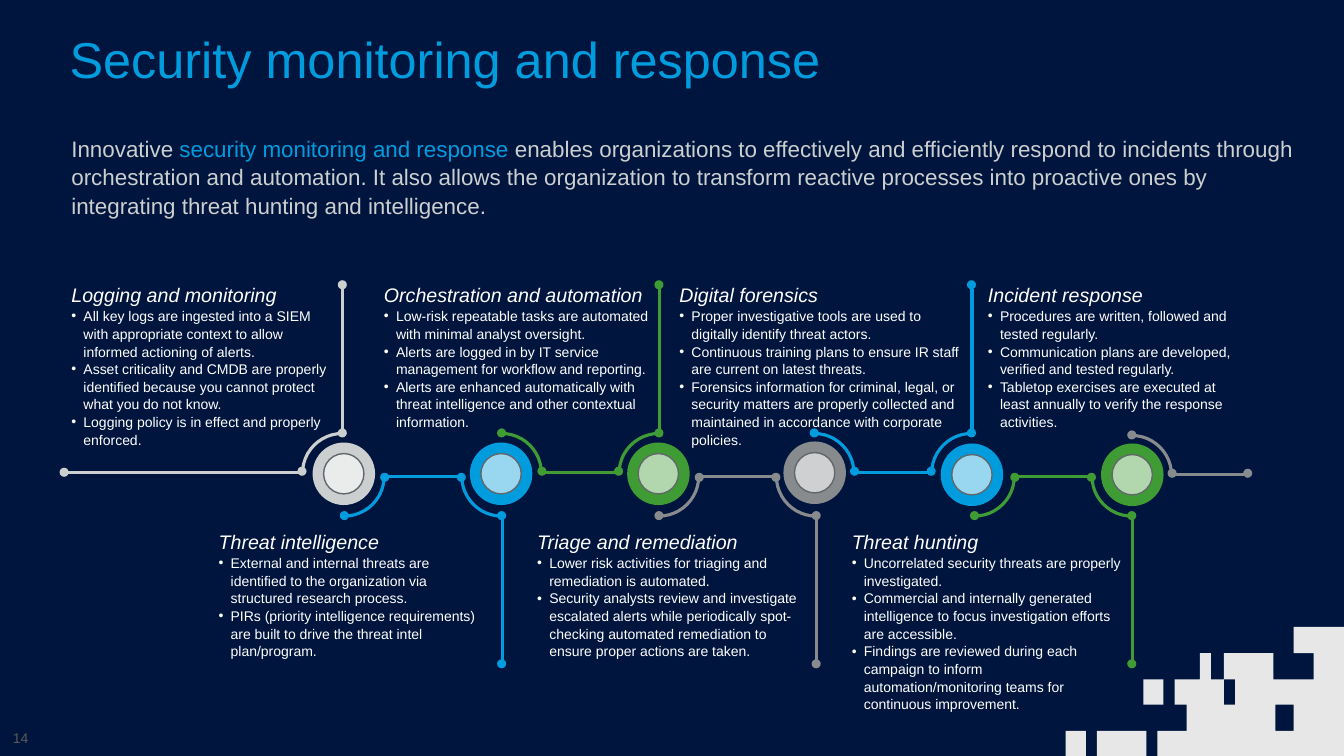
from lxml.etree import SubElement
from pptx import Presentation
from pptx.dml.color import RGBColor
from pptx.enum.shapes import MSO_CONNECTOR, MSO_SHAPE
from pptx.enum.text import MSO_ANCHOR
from pptx.oxml.ns import qn
from pptx.util import Pt

PX = 9144
NAVY = RGBColor(0x00, 0x15, 0x3D)
BLUE = RGBColor(0x00, 0x9C, 0xDE)
GREEN = RGBColor(0x3F, 0x9C, 0x35)
GREY = RGBColor(0x88, 0x8B, 0x8D)
SILVER = RGBColor(0xCC, 0xCF, 0xCF)
RIM = RGBColor(0x63, 0x66, 0x6A)
DIM = RGBColor(0x59, 0x59, 0x59)
PALE = RGBColor(0xE7, 0xE7, 0xE8)
WHITE = RGBColor(0xFF, 0xFF, 0xFF)

ARC = 79
ARC_MIDDLE = 40
LINK_STEP = 156
HUB = 62
CORE = 40

MOSAIC = [
    [(31, 103), (80, 103), (80, 128), (31, 128)],
    [(0, 103), (20, 103), (20, 128), (0, 128)],
    [(208, 77), (208, 103), (226, 103), (226, 77)],
    [(77, 52), (97, 52), (97, 77), (77, 77)],
    [(157, 52), (157, 77), (168, 77), (168, 52)],
    [(226, 0), (276, 0), (276, 128), (91, 128), (91, 103), (120, 103),
     (120, 77), (108, 77), (108, 52), (133, 52), (133, 26), (144, 26),
     (144, 52), (157, 52), (157, 26), (206, 26), (206, 52), (246, 52),
     (246, 26), (226, 26)],
]

LINKS = [(302, 433, False, BLUE), (458, 430, True, GREEN),
         (614, 433, False, GREY), (768, 430, True, BLUE),
         (927, 433, False, GREEN)]

HUBS = [(310, 439, SILVER), (466, 439, BLUE), (622, 439, GREEN),
        (777, 438, GREY), (933, 440, BLUE), (1092, 440, GREEN)]

CAPABILITIES = [
    ((61, 275, 284, 168), "Logging and monitoring", [
        "All key logs are ingested into a SIEM with appropriate context to allow informed actioning of alerts.",
        "Asset criticality and CMDB are properly identified because you cannot protect what you do not know.",
        "Logging policy is in effect and properly enforced."]),
    ((207, 520, 284, 135), "Threat intelligence", [
        "External and internal threats are identified to the organization via structured research process.",
        "PIRs (priority intelligence requirements) are built to drive the threat intel plan/program."]),
    ((371, 275, 284, 151), "Orchestration and automation", [
        "Low-risk repeatable tasks are automated with minimal analyst oversight.",
        "Alerts are logged in by IT service management for workflow and reporting.",
        "Alerts are enhanced automatically with threat intelligence and other contextual information."]),
    ((523, 520, 284, 135), "Triage and remediation", [
        "Lower risk activities for triaging and remediation is automated.",
        "Security analysts review and investigate escalated alerts while periodically spot-checking "
        "automated remediation to ensure proper actions are taken."]),
    ((664, 275, 303, 168), "Digital forensics", [
        "Proper investigative tools are used to digitally identify threat actors.",
        "Continuous training plans to ensure IR staff are current on latest threats.",
        "Forensics information for criminal, legal, or security matters are properly collected and "
        "maintained in accordance with corporate policies."]),
    ((835, 520, 287, 185), "Threat hunting", [
        "Uncorrelated security threats are properly investigated.",
        "Commercial and internally generated intelligence to focus investigation efforts are accessible.",
        "Findings are reviewed during each campaign to inform automation/monitoring teams for "
        "continuous improvement."]),
    ((970, 275, 275, 151), "Incident response", [
        "Procedures are written, followed and tested regularly.",
        "Communication plans are developed, verified and tested regularly.",
        "Tabletop exercises are executed at least annually to verify the response activities."]),
]


def add_text_frame(slide, box, anchor=MSO_ANCHOR.TOP):
    frame = slide.shapes.add_textbox(*(n * PX for n in box)).text_frame
    frame.word_wrap = True
    frame.vertical_anchor = anchor
    return frame


def add_run(paragraph, words, size, color, italic=False):
    run = paragraph.add_run()
    run.text = words
    font = run.font
    font.name, font.size, font.italic = "Arial", Pt(size), italic
    font.color.rgb = color


def add_preset(slide, kind, left, top, size):
    shape = slide.shapes.add_shape(kind, left * PX, top * PX, size * PX, size * PX)
    shape.shadow.inherit = False
    return shape


def add_disc(slide, left, top, size, color):
    disc = add_preset(slide, MSO_SHAPE.OVAL, left, top, size)
    disc.fill.solid()
    disc.fill.fore_color.rgb = color
    disc.line.fill.background()
    return disc


def add_dot(slide, x, y, color):
    add_disc(slide, x - 5, y - 5, 9, color)


def add_arc(slide, left, top, rotation, color):
    arc = add_preset(slide, MSO_SHAPE.ARC, left, top, ARC)
    arc.rotation = rotation
    arc.fill.background()
    arc.line.color.rgb = color
    arc.line.width = Pt(2.25)


def add_track(slide, x1, y1, x2, y2, color):
    track = slide.shapes.add_connector(
        MSO_CONNECTOR.STRAIGHT, x1 * PX, y1 * PX, x2 * PX, y2 * PX)
    track.line.color.rgb = color
    track.line.width = Pt(2.25)
    SubElement(track._element.spPr, qn("a:effectLst"))


def level(top, offset, up):
    return top + (offset if up else ARC - offset)


def add_link_start(slide, left, top, up, color):
    add_arc(slide, left, top, 0 if up else 90, color)
    add_dot(slide, left + ARC_MIDDLE, level(top, 0, up), color)
    add_dot(slide, left + 80, level(top, 38, up), color)


def add_link_end(slide, left, top, up, color):
    add_arc(slide, left, top, 270 if up else 180, color)
    add_dot(slide, left, level(top, 38, up), color)
    middle = left + ARC_MIDDLE
    add_dot(slide, middle, level(top, 0, up), color)
    add_track(slide, middle, level(top, -143, up), middle, level(top, 0, up), color)
    add_dot(slide, middle, level(top, -147, up), color)


def add_link(slide, left, top, up, color):
    add_link_start(slide, left, top, up, color)
    y = level(top, 39, up)
    add_track(slide, left + ARC, y, left + LINK_STEP, y, color)
    add_link_end(slide, left + LINK_STEP, top, up, color)


def add_entry(slide, left, top, length):
    add_track(slide, left, top + 39, left + length, top + 39, SILVER)
    add_dot(slide, left + 1, top + 39, SILVER)
    add_link_end(slide, left + length, top, True, SILVER)


def add_exit(slide, left, top):
    add_link_start(slide, left, top, True, GREY)
    add_track(slide, left + ARC, top + 39, left + LINK_STEP, top + 39, GREY)
    add_dot(slide, left + LINK_STEP - 1, top + 38, GREY)


def add_hub(slide, left, top, color):
    add_disc(slide, left, top, HUB, color)
    inset = (HUB - CORE) // 2
    core = add_disc(slide, left + inset, top + inset, CORE, WHITE)
    white = core._element.spPr.find(qn("a:solidFill")).find(qn("a:srgbClr"))
    SubElement(white, qn("a:alpha"), val="60000")
    core.line.color.rgb = RIM
    core.line.width = Pt(1)


def add_capability(slide, box, heading, points):
    frame = add_text_frame(slide, box)
    frame.paragraphs[0].line_spacing = 1.05
    add_run(frame.paragraphs[0], heading, 14, WHITE, italic=True)
    for point in points:
        paragraph = frame.add_paragraph()
        properties = paragraph._p.get_or_add_pPr()
        properties.set("marL", str(12 * PX))
        properties.set("indent", str(-12 * PX))
        SubElement(properties, qn("a:buFont"), typeface="Arial")
        SubElement(properties, qn("a:buChar"), char="•")
        paragraph.line_spacing = 1.05
        add_run(paragraph, point, 10, WHITE)


def add_mosaic(slide, left, top):
    outline = slide.shapes.build_freeform(*MOSAIC[0][0], scale=PX)
    for index, (corner, *others) in enumerate(MOSAIC):
        if index:
            outline.move_to(*corner)
        outline.add_line_segments(others, close=True)
    mosaic = outline.convert_to_shape(left * PX, top * PX)
    mosaic.shadow.inherit = False
    mosaic.fill.solid()
    mosaic.fill.fore_color.rgb = PALE
    mosaic.line.fill.background()


def add_title(slide, box):
    frame = add_text_frame(slide, box, MSO_ANCHOR.MIDDLE)
    frame.margin_left = frame.margin_right = frame.margin_top = frame.margin_bottom = 0
    frame.paragraphs[0].line_spacing = 1.05
    add_run(frame.paragraphs[0], "Security monitoring and response", 36, BLUE)


def add_intro(slide, box):
    paragraph = add_text_frame(slide, box).paragraphs[0]
    paragraph.line_spacing = 1.05
    add_run(paragraph, "Innovative ", 16, SILVER)
    add_run(paragraph, "security monitoring and response ", 16, BLUE)
    add_run(paragraph, "enables organizations to effectively and efficiently respond to incidents "
            "through orchestration and automation. It also allows the organization to transform "
            "reactive processes into proactive ones by integrating threat hunting and intelligence.",
            16, SILVER)


def add_page_number(slide, box):
    frame = add_text_frame(slide, box, MSO_ANCHOR.MIDDLE)
    add_run(frame.paragraphs[0], "14", 10, DIM)


def main():
    deck = Presentation()
    deck.slide_width, deck.slide_height = 1333 * PX, 750 * PX
    slide = deck.slides.add_slide(deck.slide_layouts[6])
    slide.background.fill.solid()
    slide.background.fill.fore_color.rgb = NAVY
    add_mosaic(slide, 1057, 622)
    add_intro(slide, (61, 128, 1253, 91))
    add_title(slide, (69, 26, 1264, 61))
    add_page_number(slide, (3, 717, 225, 31))
    add_entry(slide, 63, 430, 237)
    for link in LINKS:
        add_link(slide, *link)
    add_exit(slide, 1083, 432)
    for hub in HUBS:
        add_hub(slide, *hub)
    for capability in CAPABILITIES:
        add_capability(slide, *capability)
    deck.save("out.pptx")


if __name__ == "__main__":
    main()
